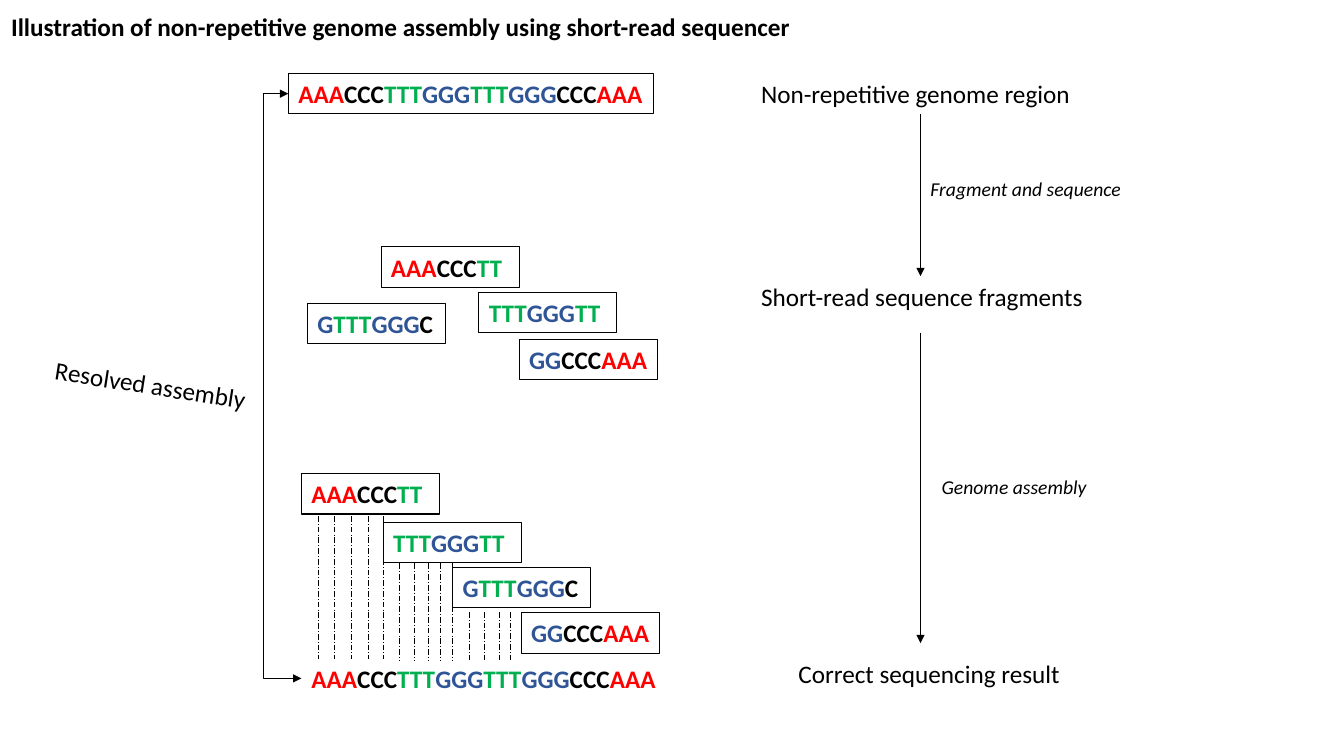
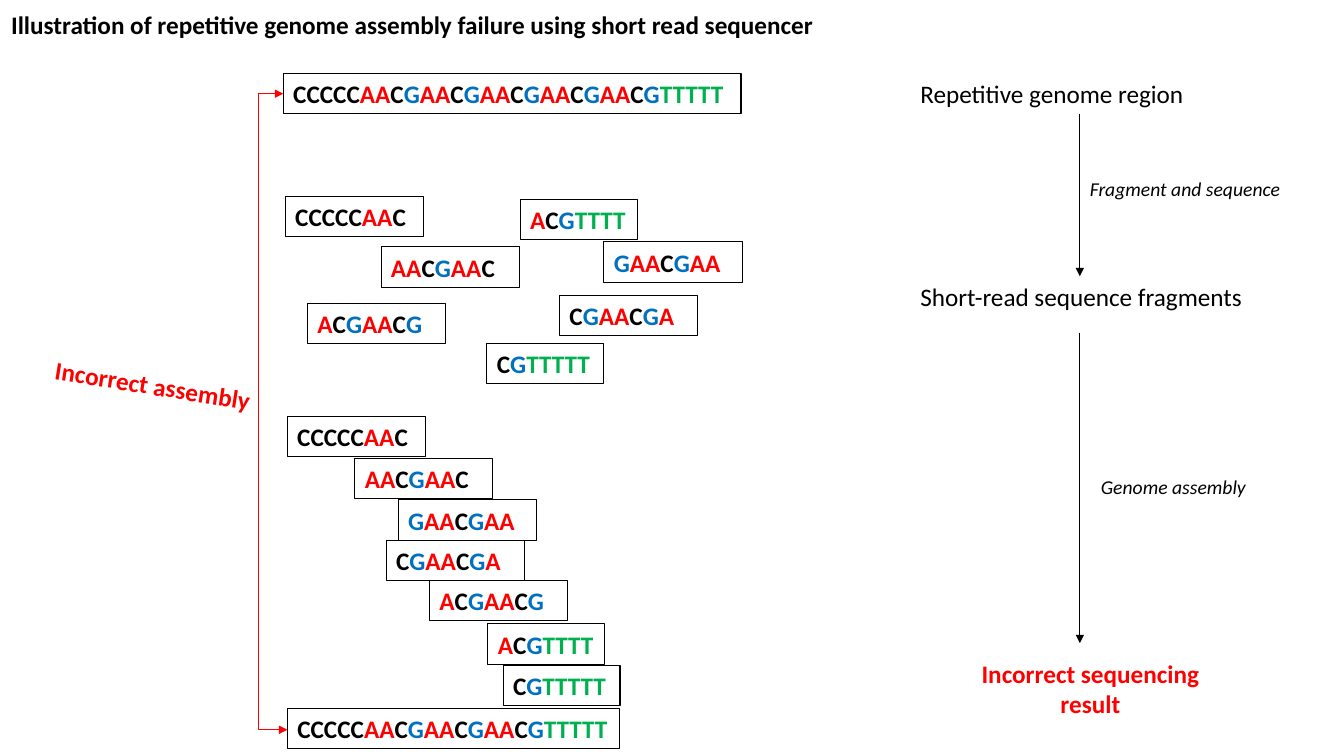
import itertools

import pptx
import pptx.dml.color
import pptx.enum.dml
import pptx.enum.shapes
import pptx.enum.text
import pptx.oxml
import pptx.oxml.ns
import pptx.util
from pptx.util import Inches

RGB = pptx.dml.color.RGBColor
BLACK = RGB(0x00, 0x00, 0x00)
RED = RGB(0xFF, 0x00, 0x00)
GREEN = RGB(0x00, 0xB0, 0x50)
NAVY = RGB(0x2F, 0x55, 0x97)
BLUE = RGB(0x00, 0x70, 0xC0)

FONT = "Calibri"
ROW = 0.4        # height of a one-line box
READ = 1.37      # width of a read
SHORT = 1.16     # width of a read from the T end
ELBOW = 0.25     # how far the bracket stands out to the left
ALIGN = pptx.enum.text.PP_ALIGN
CONNECTOR = pptx.enum.shapes.MSO_CONNECTOR


# Text
def set_font(p, size=18, color=None, bold=False, italic=False):
    p.font.name = FONT
    p.font.size = pptx.util.Pt(size)
    p.font.bold = bold
    p.font.italic = italic
    if color is not None:
        p.font.color.rgb = color


def add_title(slide, text, top):
    title = slide.shapes.title
    title.left, title.top = Inches(0.01), Inches(top)
    title.width, title.height = Inches(8.64), Inches(ROW)
    tf = title.text_frame
    tf.text = text
    tf.vertical_anchor = pptx.enum.text.MSO_ANCHOR.TOP
    tf.auto_size = pptx.enum.text.MSO_AUTO_SIZE.NONE
    p = tf.paragraphs[0]
    p.alignment = ALIGN.LEFT
    set_font(p, color=BLACK, bold=True)


def add_box(slide, left, top, width, height=ROW):
    sp = slide.shapes.add_textbox(Inches(left), Inches(top), Inches(width), Inches(height))
    sp.text_frame.word_wrap = True
    sp.text_frame.auto_size = pptx.enum.text.MSO_AUTO_SIZE.SHAPE_TO_FIT_TEXT
    return sp


def add_label(slide, text, left, top, width, height=ROW, align=ALIGN.LEFT, **font):
    sp = add_box(slide, left, top, width, height)
    p = sp.text_frame.paragraphs[0]
    p.text = text
    p.alignment = align
    set_font(p, **{"color": BLACK, **font})
    return sp


def add_sequence(slide, bases, left, top, width, g_color, framed=True):
    """Bases in bold, one run for each stretch of the same base."""
    sp = add_box(slide, left, top, width)
    if framed:
        sp.line.color.rgb = BLACK
        sp.line.width = pptx.util.Pt(0.75)
    colors = {"A": RED, "C": BLACK, "G": g_color, "T": GREEN}
    p = sp.text_frame.paragraphs[0]
    set_font(p, bold=True)
    for base, stretch in itertools.groupby(bases):
        r = p.add_run()
        r.text = "".join(stretch)
        r.font.color.rgb = colors[base]


def add_reads(slide, reads, g_color):
    for bases, left, top in reads:
        width = SHORT if bases.endswith("TTTT") else READ
        add_sequence(slide, bases, left, top, width, g_color)


# Lines
def add_line(slide, start, end, color=BLACK, kind=CONNECTOR.STRAIGHT, dash=None, ends=()):
    line = slide.shapes.add_connector(kind, *(Inches(v) for v in (*start, *end)))
    line.line.color.rgb = color
    line.line.width = pptx.util.Pt(0.5)
    if dash is not None:
        line.line.dash_style = dash
    sp_pr = line.element.spPr
    ln = sp_pr.find(pptx.oxml.ns.qn("a:ln"))
    for end_name in ends:
        ln.append(pptx.oxml.parse_xml(
            f'<a:{end_name} {pptx.oxml.ns.nsdecls("a")} type="triangle"/>'))
    sp_pr.append(pptx.oxml.parse_xml(f'<a:effectLst {pptx.oxml.ns.nsdecls("a")}/>'))
    return line


def add_bracket(slide, start, end, color):
    """Two-headed elbow that joins the genome to the assembly."""
    line = add_line(slide, start, end, color, CONNECTOR.ELBOW, ends=("headEnd", "tailEnd"))
    geometry = line.element.spPr.find(pptx.oxml.ns.qn("a:prstGeom"))
    for child in list(geometry):
        geometry.remove(child)
    bend = round(-ELBOW / (end[0] - start[0]) * 100000)
    geometry.append(pptx.oxml.parse_xml(
        f'<a:avLst {pptx.oxml.ns.nsdecls("a")}>'
        f'<a:gd name="adj1" fmla="val {bend}"/></a:avLst>'))


def add_guides(slide, groups):
    dash = pptx.enum.dml.MSO_LINE.LONG_DASH_DOT
    for top, bottom, xs in groups:
        for x in xs:
            add_line(slide, (x, top), (x, bottom), dash=dash)


# Regions
def add_workflow(slide, left, region):
    """Steps from genome to assembly, down the right side."""
    axis = left + 1.68
    genome = add_label(slide, region, left, 0.73, 3.36)
    add_label(slide, "Short-read sequence fragments", left, 2.74, 4.37)
    first = add_line(slide, (axis, 1.14), (axis, 2.74), ends=("tailEnd",))
    first.begin_connect(genome, 2)
    add_line(slide, (axis, 3.3), (axis, 6.38), ends=("tailEnd",))
    add_label(slide, "Fragment and sequence", axis, 1.71, 2.69, 0.34, size=14, italic=True)
    add_label(slide, "Genome assembly", axis + 0.11, 4.66, 2.69, 0.34, size=14, italic=True)


def add_verdict(slide, text, **font):
    add_label(slide, text, 0.44, 3.63, 2.28, **font).rotation = 8.9


# Slides
def non_repetitive_slide(prs):
    slide = prs.slides.add_slide(prs.slide_layouts[5])
    add_title(slide, "Illustration of non-repetitive genome assembly "
                     "using short-read sequencer", 0.06)
    genome = "AAACCCTTTGGGTTTGGGCCCAAA"
    add_sequence(slide, genome, 2.86, 0.73, 3.62, NAVY)
    add_reads(slide, [
        # fragments
        ("AAACCCTT", 3.78, 2.45), ("TTTGGGTT", 4.75, 2.9),
        ("GTTTGGGC", 3.05, 3.01), ("GGCCCAAA", 5.15, 3.37),
        # overlaps
        ("AAACCCTT", 2.99, 4.7), ("TTTGGGTT", 3.8, 5.18),
        ("GTTTGGGC", 4.49, 5.63), ("GGCCCAAA", 5.17, 6.08),
    ], NAVY)
    add_guides(slide, [
        (5.12, 6.54, (3.16, 3.32, 3.48, 3.65, 3.8)),
        (5.59, 6.56, (3.96, 4.11, 4.25, 4.37, 4.49)),
        (6.07, 6.55, (4.66, 4.8, 4.95, 5.06)),
    ])
    add_sequence(slide, genome, 2.99, 6.53, 3.62, NAVY, framed=False)
    add_bracket(slide, (2.86, 0.93), (2.99, 6.73), BLACK)
    add_verdict(slide, "Resolved assembly")
    add_workflow(slide, 7.45, "Non-repetitive genome region")
    add_label(slide, "Correct sequencing result", 7.82, 6.48, 2.83)


def repetitive_slide(prs):
    slide = prs.slides.add_slide(prs.slide_layouts[5])
    add_title(slide, "Illustration of repetitive genome assembly failure "
                     "using short read sequencer", 0.04)
    repeat = "AACG"
    add_sequence(slide, "CCCCC" + repeat * 5 + "TTTTT", 2.81, 0.73, 4.54, BLUE)
    add_reads(slide, [
        # fragments
        ("CCCCCAAC", 2.83, 1.95), ("ACGTTTT", 5.16, 1.98),
        ("AACGAAC", 3.78, 2.45), ("GAACGAA", 5.99, 2.4),
        ("ACGAACG", 3.05, 3.01), ("CGAACGA", 5.55, 2.93),
        ("CGTTTTT", 4.83, 3.41),
        # overlaps
        ("CCCCCAAC", 2.85, 4.13), ("AACGAAC", 3.52, 4.55),
        ("GAACGAA", 3.95, 4.96), ("CGAACGA", 3.83, 5.36),
        ("ACGAACG", 4.26, 5.76), ("ACGTTTT", 4.84, 6.19),
        ("CGTTTTT", 4.99, 6.6),
    ], BLUE)
    add_sequence(slide, "CCCCC" + repeat * 3 + "TTTTT", 2.85, 7.03, 3.29, BLUE)
    add_bracket(slide, (2.81, 0.93), (2.85, 7.24), RED)
    add_verdict(slide, "Incorrect assembly", color=RED, bold=True)
    add_workflow(slide, 9.03, "Repetitive genome region")
    add_label(slide, "Incorrect sequencing result", 9.4, 6.48, 2.83, 0.71,
              ALIGN.CENTER, color=RED, bold=True)


def main():
    prs = pptx.Presentation()
    prs.slide_width, prs.slide_height = Inches(13.33), Inches(7.5)
    non_repetitive_slide(prs)
    repetitive_slide(prs)
    prs.save("out.pptx")


if __name__ == "__main__":
    main()
